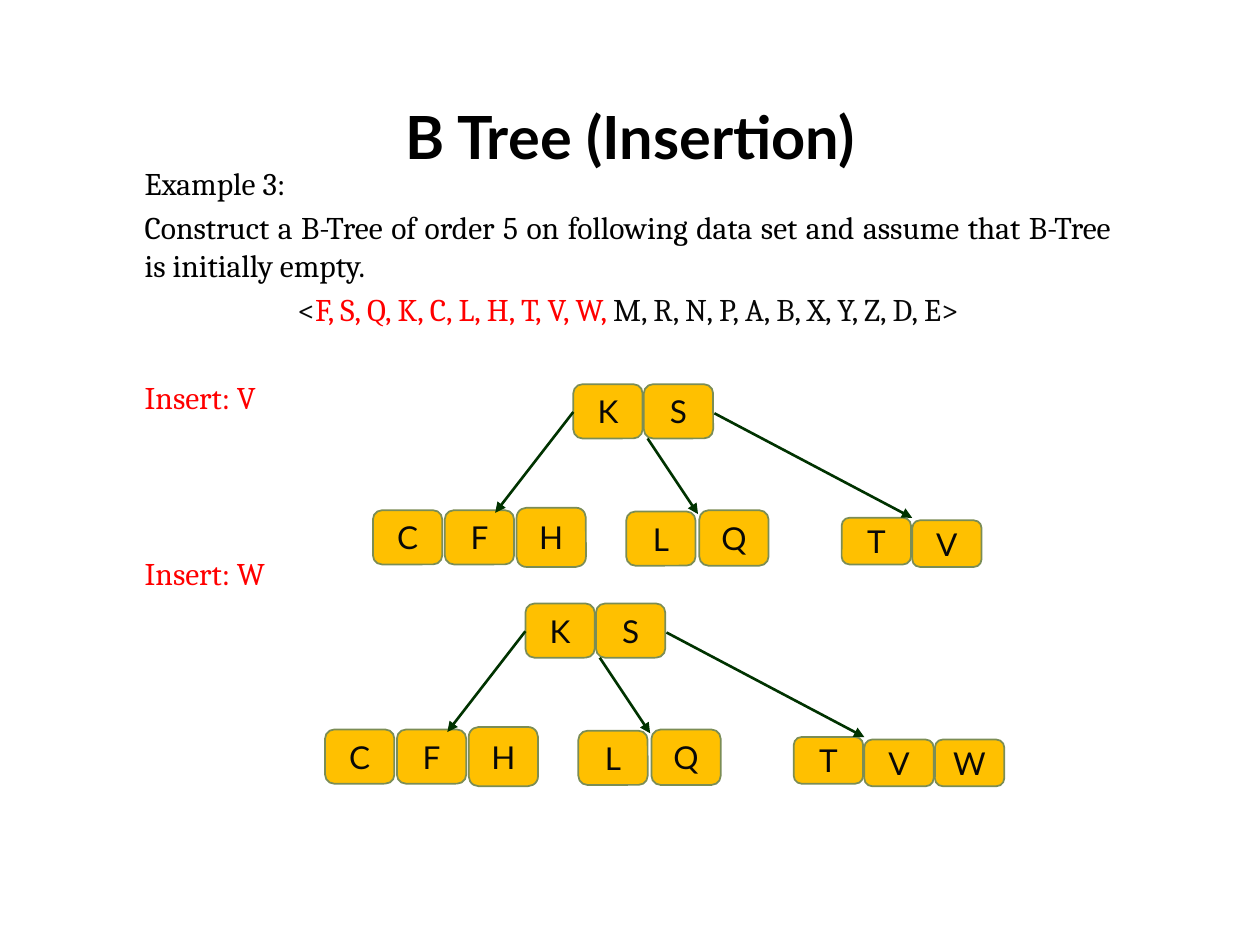
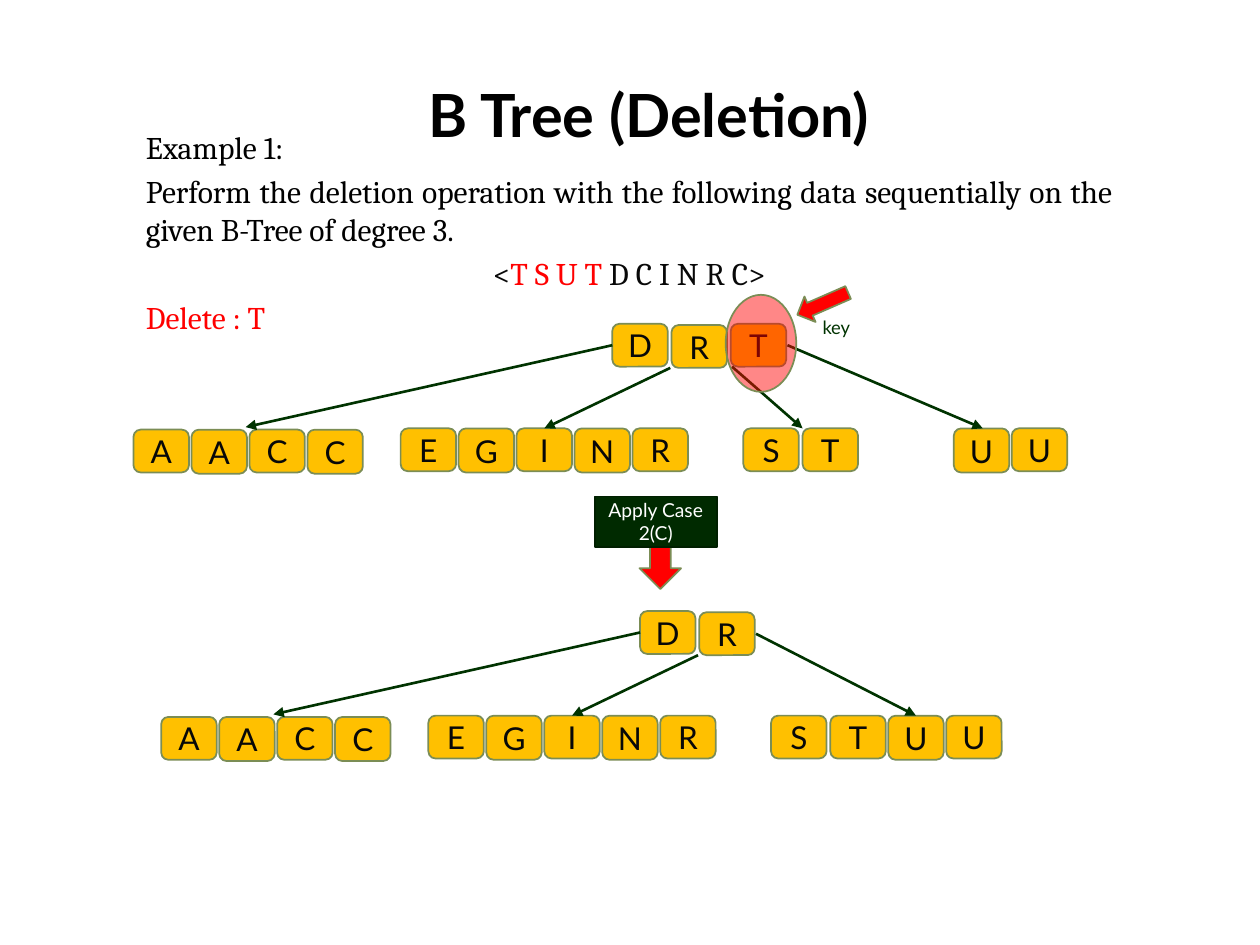
from dataclasses import dataclass, replace
from itertools import cycle

from lxml import etree
from pptx import Presentation
from pptx.dml.color import RGBColor
from pptx.enum.shapes import MSO_CONNECTOR, MSO_SHAPE
from pptx.enum.text import MSO_ANCHOR, PP_ALIGN
from pptx.oxml.ns import qn
from pptx.util import Emu, Pt

ROUNDED, RECTANGLE, OVAL = MSO_SHAPE.ROUNDED_RECTANGLE, MSO_SHAPE.RECTANGLE, MSO_SHAPE.OVAL
LEFT_ARROW, RIGHT_ARROW = MSO_SHAPE.LEFT_ARROW, MSO_SHAPE.RIGHT_ARROW
STRAIGHT = MSO_CONNECTOR.STRAIGHT
LEFT, CENTER, JUSTIFY = PP_ALIGN.LEFT, PP_ALIGN.CENTER, PP_ALIGN.JUSTIFY
TOP, MIDDLE = MSO_ANCHOR.TOP, MSO_ANCHOR.MIDDLE

EMU_PER_PX = 9144
SANS, SERIF = "Lato", "Cambria"
BLACK, INK, WHITE, RED = "000000", "080808", "FFFFFF", "FF0000"
GOLD, OLIVE, GREEN = "FFC000", "7B8D55", "003300"
CASE_FILL, CASE_LINE = "002A00", "001F00"
PARA_GAP, LINE_PITCH = 3.6, 25.2


@dataclass(frozen=True)
class Box:
    left: int
    top: int
    width: int
    height: int


@dataclass(frozen=True)
class Para:
    spans: tuple[tuple[str, str], ...]
    align: PP_ALIGN = LEFT
    skipped_lines: int = 0


@dataclass(frozen=True)
class Node:
    keys: str
    left: int
    pitch: int
    bands: tuple[tuple[int, int], ...]


@dataclass(frozen=True)
class Tree:
    key_width: int
    nodes: tuple[Node, ...]
    edges: tuple[tuple[int, int, int, int], ...]


def px(length: int) -> Emu:
    return Emu(length * EMU_PER_PX)


def place(box: Box) -> tuple[Emu, ...]:
    return px(box.left), px(box.top), px(box.width), px(box.height)


def color(value: str) -> RGBColor:
    return RGBColor.from_string(value)


def add_span(para, text: str, *, size: float, font: str, ink: str, bold: bool = False) -> None:
    span = para.add_run()
    span.text = text
    span.font.size = Pt(size)
    span.font.name = font
    span.font.bold = bold
    span.font.color.rgb = color(ink)


def write(shape, text: str, *, align: PP_ALIGN = CENTER, anchor: MSO_ANCHOR = MIDDLE,
          size: float = 18, font: str = SANS, ink: str = INK, bold: bool = False) -> None:
    frame = shape.text_frame
    frame.word_wrap = True
    frame.vertical_anchor = anchor
    para = frame.paragraphs[0]
    para.alignment = align
    add_span(para, text, size=size, font=font, ink=ink, bold=bold)


def add_title(page, text: str, box: Box) -> None:
    write(page.shapes.add_textbox(*place(box)), text, size=34, ink=BLACK, bold=True)


def add_body(page, paras: list[Para], box: Box) -> None:
    frame = page.shapes.add_textbox(*place(box)).text_frame
    frame.word_wrap = True
    for index, content in enumerate(paras):
        para = frame.add_paragraph() if index else frame.paragraphs[0]
        para.alignment = content.align
        if index:
            para.space_before = Pt(round(PARA_GAP + content.skipped_lines * LINE_PITCH, 1))
        for text, ink in content.spans:
            add_span(para, text, size=18, font=SERIF, ink=ink)


def add_figure(shapes, kind: MSO_SHAPE, box: Box, *, fill: str, line: str = OLIVE,
               rotation: float = 0, opacity: int = 100):
    shape = shapes.add_shape(kind, *place(box))
    shape.shadow.inherit = False
    shape.rotation = rotation
    shape.fill.solid()
    shape.fill.fore_color.rgb = color(fill)
    shape.line.color.rgb = color(line)
    shape.line.width = Pt(1)
    if opacity < 100:
        tint = shape.element.spPr.find(qn("a:solidFill"))[0]
        etree.SubElement(tint, qn("a:alpha"), val=str(opacity * 1000))
    return shape


def add_edge(shapes, edge: tuple[int, int, int, int]) -> None:
    connector = shapes.add_connector(STRAIGHT, *map(px, edge))
    connector.line.color.rgb = color(GREEN)
    connector.line.width = Pt(1.5)
    properties = connector.element.spPr
    etree.SubElement(properties.find(qn("a:ln")), qn("a:tailEnd"), type="triangle")
    etree.SubElement(properties, qn("a:effectLst"))


def add_tree(page, tree: Tree, shift_x: int = 0, shift_y: int = 0):
    shapes = page.shapes.add_group_shape().shapes
    for node in tree.nodes:
        for index, (key, (top, height)) in enumerate(zip(node.keys, cycle(node.bands))):
            box = Box(node.left + index * node.pitch + shift_x, top + shift_y, tree.key_width, height)
            write(add_figure(shapes, ROUNDED, box, fill=GOLD), key)
    for x1, y1, x2, y2 in tree.edges:
        add_edge(shapes, (x1 + shift_x, y1 + shift_y, x2 + shift_x, y2 + shift_y))
    return shapes


def build_insertion(page) -> None:
    add_title(page, "B Tree (Insertion)", Box(50, 68, 900, 79))
    add_body(page, [
        Para((("Example 3:", BLACK),), JUSTIFY),
        Para((("Construct a B-Tree of order 5 on following data set and assume "
               "that B-Tree is initially empty.", BLACK),), JUSTIFY),
        Para((("<", INK), ("F, S, Q, K, C, L, H, T, V, W, ", RED),
              ("M, R, N, P, A, B, X, Y, Z, D, E>", INK)), CENTER),
        Para((("Insert: V", RED),), skipped_lines=1),
        Para((("Insert: W", RED),), skipped_lines=3),
    ], Box(105, 125, 787, 507))

    last_leaf = Node("TV", 668, 56, ((411, 37), (413, 37), (413, 37)))
    kept_nodes = (
        Node("KS", 455, 56, ((305, 43),)),
        Node("CFH", 296, 57, ((405, 43), (405, 43), (403, 47))),
        Node("LQ", 497, 58, ((406, 43), (405, 44))),
    )
    after_v = Tree(55, kept_nodes + (last_leaf,), (
        (455, 327, 393, 407), (514, 348, 554, 408), (567, 328, 724, 411)))
    after_w = replace(after_v, nodes=kept_nodes + (replace(last_leaf, keys="TVW"),))
    add_tree(page, after_v)
    add_tree(page, after_w, -38, 174)


def build_deletion(page) -> None:
    add_title(page, "B Tree (Deletion)", Box(65, 51, 900, 79))
    add_body(page, [
        Para((("Example 1:", BLACK),), JUSTIFY),
        Para((("Perform the deletion operation with the following data sequentially "
               "on the given B-Tree of degree 3.", BLACK),), JUSTIFY),
        Para((("<", INK), ("T S U T ", RED), ("D C I N R C>", INK)), CENTER),
        Para((("Delete : T", RED),)),
    ], Box(106, 97, 787, 186))

    root = Node("DRT", 486, 47, ((257, 34), (258, 34)))
    last_leaf = Node("UU", 757, 46, ((340, 35), (340, 34)))
    kept_leaves = (
        Node("AACC", 106, 46, ((341, 34), (341, 35))),
        Node("EGINR", 318, 46, ((340, 34), (340, 35))),
        Node("ST", 590, 47, ((340, 34),)),
    )
    kept_edges = ((532, 292, 432, 340), (486, 274, 195, 339))
    before = Tree(44, (root, *kept_leaves, last_leaf),
                  kept_edges + ((581, 291, 637, 340), (625, 274, 780, 340)))
    after = Tree(44, (replace(root, keys="DR"), *kept_leaves, replace(last_leaf, left=683)),
                 kept_edges + ((578, 275, 705, 340),))

    shapes = add_tree(page, before)
    add_figure(shapes, OVAL, Box(576, 234, 56, 77), fill=RED, opacity=47)
    add_figure(shapes, LEFT_ARROW, Box(631, 230, 44, 22), fill=RED, rotation=336.4)
    key_label = shapes.add_textbox(*place(Box(643, 246, 46, 28)))
    write(key_label, "key", align=LEFT, anchor=TOP, size=10.5, ink=GREEN)

    step = page.shapes.add_group_shape().shapes
    add_figure(step, RIGHT_ARROW, Box(504, 431, 40, 33), fill=RED, rotation=90)
    case = add_figure(step, RECTANGLE, Box(472, 394, 97, 40), fill=CASE_FILL, line=CASE_LINE)
    write(case, "Apply Case 2(C)", size=11, ink=WHITE)
    add_tree(page, after, 22, 228)


def main() -> None:
    deck = Presentation()
    deck.slide_width, deck.slide_height = px(1000), px(750)
    blank = deck.slide_layouts[6]
    for build in (build_insertion, build_deletion):
        build(deck.slides.add_slide(blank))
    deck.save("out.pptx")


if __name__ == "__main__":
    main()
